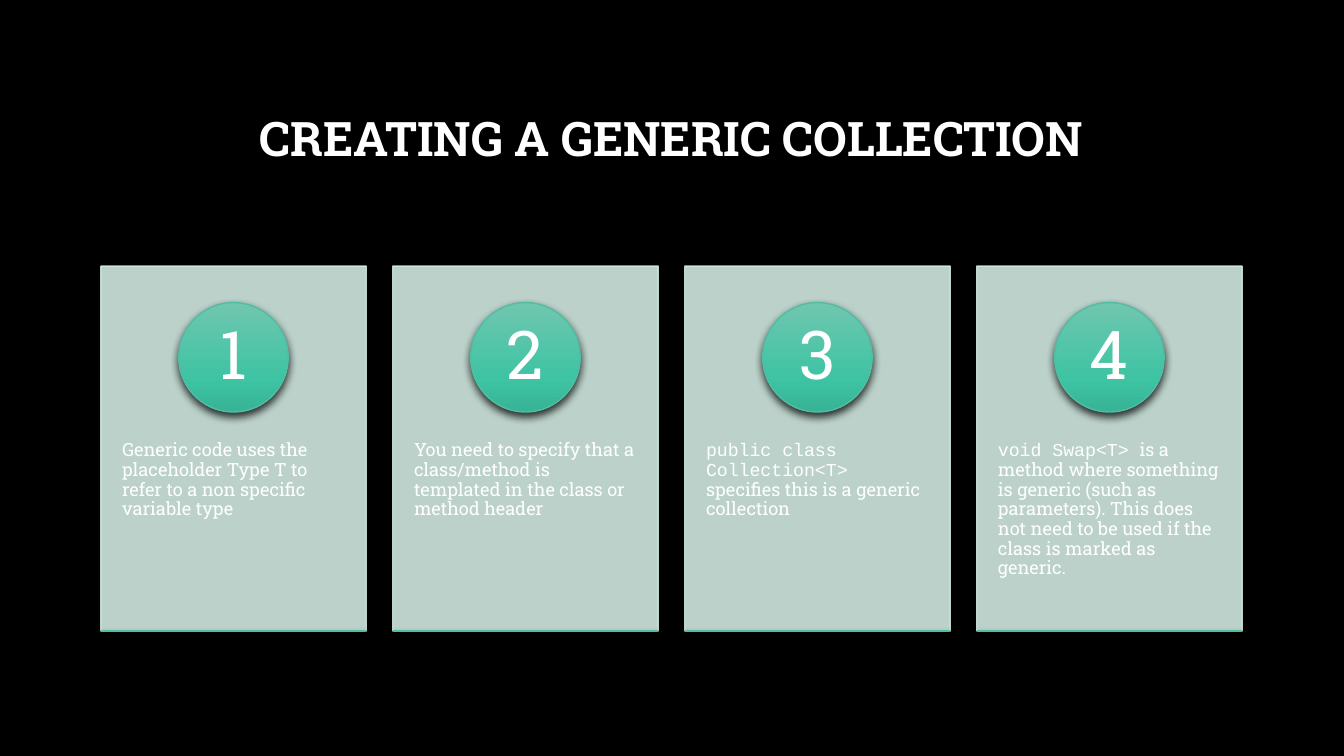
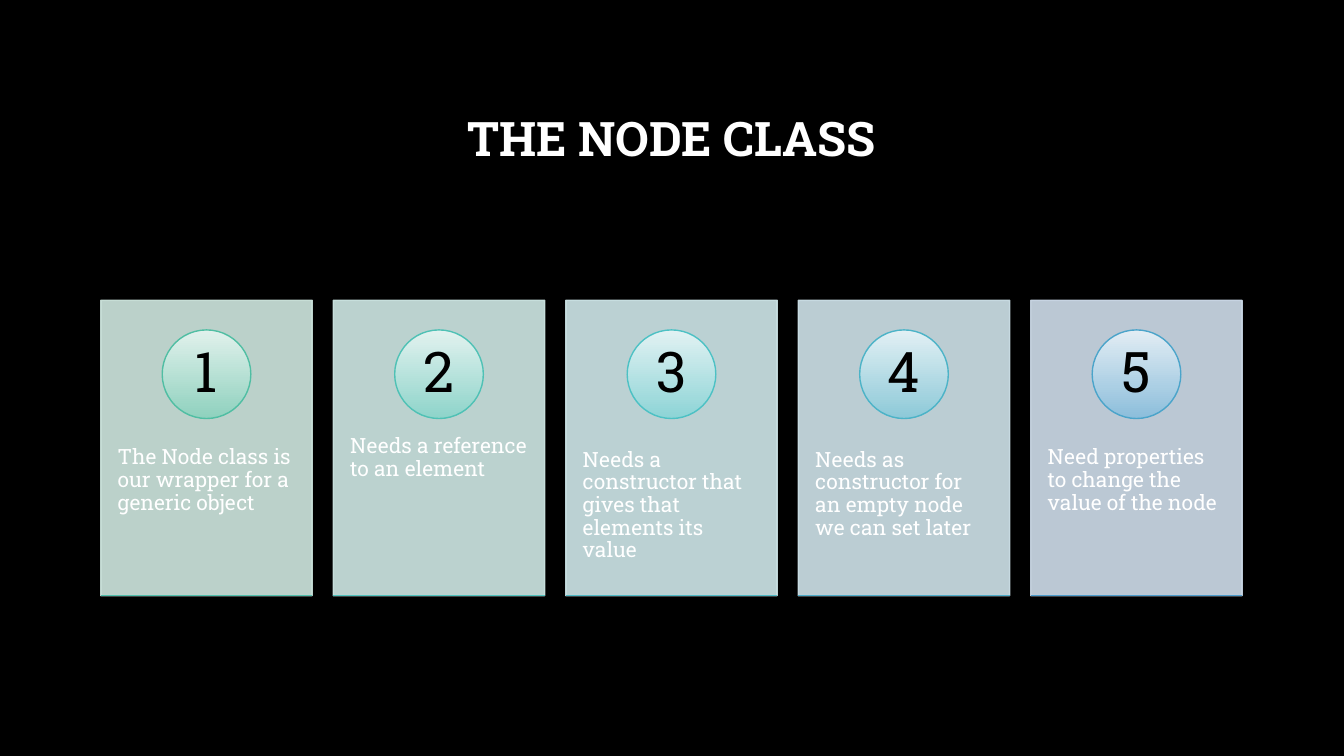
from dataclasses import dataclass

from lxml import etree
from pptx import Presentation
from pptx import util as u
from pptx.dml.color import RGBColor
from pptx.enum import shapes, text
from pptx.oxml.ns import qn


@dataclass(frozen=True)
class Theme:
    back: str = "000000"
    white: str = "FFFFFF"
    black: str = "000000"
    font: str = "Roboto Slab"
    code: str = "Courier New"
    title_size: int = 34
    line_width: int = 1
    line_spacing: float = 0.9
    card_opacity: int = 90
    left: float = 1
    span: float = 11.32


@dataclass(frozen=True)
class Row:
    """Look of one row of numbered cards."""
    top: float
    height: float
    body_size: int
    number_size: int
    number_color: str
    card_shadow: tuple = ()   # opacity %, blur pt, distance pt
    accent_shadow: tuple = ()


@dataclass(frozen=True)
class Tint:
    """Colours of one card."""
    card: str
    stops: tuple              # (position %, colour)
    ring: str
    accent: str


T = Theme()
STEPS = Row(2.64, 3.62, 13, 48, T.white, (54, 4, 3), (76, 6, 3))
NODES = Row(2.98, 2.93, 15, 40, T.black)

GREEN = Tint("D0E8E0", ((0, "70C6AF"), (69, "3EC4A3"), (100, "37B395")),
             "50BEA3", "50BEA3")
COOL = [
    Tint("D0E8E0", ((0, "E1F1EC"), (100, "8FD1BE")), "50BEA3", "4FC0AC"),
    Tint("D0E9E6", ((0, "E2F2EF"), (100, "8ED4CA")), "4FC1B5", "4EC3BE"),
    Tint("D0E8EA", ((0, "E2F2F3"), (100, "8DD4D6")), "4DC1C4", "4DBAC6"),
    Tint("D0E4EB", ((0, "E2F0F4"), (100, "8DC9D8")), "4CB3C7", "4BACC9"),
    Tint("D0DEEC", ((0, "E3EDF4"), (100, "8CBEDB")), "4BA4CA", "4A9CCC"),
]

# Each card text is a list of (wording, font) runs
STEP_TEXTS = [
    [("Generic code uses the placeholder Type T to refer to a non specific "
      "variable type", T.font)],
    [("You need to specify that a class/method is templated in the class or "
      "method header", T.font)],
    [("public class Collection<T> ", T.code),
     ("specifies this is a generic collection", T.font)],
    [("void Swap<T> ", T.code),
     ("is a method where something is generic (such as parameters). This does "
      "not need to be used if the class is marked as generic.", T.font)],
]
NODE_TEXTS = [[(wording, T.font)] for wording in (
    "The Node class is our wrapper for a generic object",
    "Needs a reference to an element",
    "Needs a constructor that gives that elements its value",
    "Needs as constructor for an empty node we can set later",
    "Need properties to change the value of the node",
)]


# Drawing details that need XML
def add_xml(parent, tag, **attrs):
    return etree.SubElement(parent, qn(tag), {k: str(v) for k, v in attrs.items()})


def set_effects(sp, shadow):
    """Give a finished shape or connector its shadow, or none."""
    effects = add_xml(sp.element.spPr, "a:effectLst")
    if shadow:
        opacity, blur, dist = shadow
        outer = add_xml(effects, "a:outerShdw", blurRad=u.Pt(blur), dist=u.Pt(dist),
                        dir=5400000, algn="ctr", rotWithShape=0)
        clr = add_xml(outer, "a:srgbClr", val=T.black)
        add_xml(clr, "a:alpha", val=opacity * 1000)


def set_opacity(sp, percent):
    for clr in sp.element.spPr.iter(qn("a:srgbClr")):
        add_xml(clr, "a:alpha", val=percent * 1000)


def set_gradient(sp, stops):
    sp.fill.gradient()
    sp.fill.gradient_angle = 270
    stop_list = sp.element.spPr.find(".//" + qn("a:gsLst"))
    for old in list(stop_list):
        stop_list.remove(old)
    for pos, color in stops:
        add_xml(add_xml(stop_list, "a:gs", pos=pos * 1000), "a:srgbClr", val=color)


# Elements
def set_line(sp, color):
    sp.line.color.rgb = RGBColor.from_string(color)
    sp.line.width = u.Pt(T.line_width)


def write(sp, runs, size, color, align, anchor, insets=(0.1, 0.05), bold=False):
    tf = sp.text_frame
    tf.word_wrap = True
    tf.vertical_anchor = anchor
    tf.margin_left = tf.margin_right = u.Inches(insets[0])
    tf.margin_top = tf.margin_bottom = u.Inches(insets[1])
    p = tf.paragraphs[0]
    p.alignment = align
    p.line_spacing = T.line_spacing
    for wording, font in runs:
        r = p.add_run()
        r.text = wording
        r.font.name = font
        r.font.size = u.Pt(size)
        r.font.bold = bold
        r.font.color.rgb = RGBColor.from_string(color)


def add_box(s, kind, *place):
    return s.shapes.add_shape(kind, *map(u.Inches, place))


def add_text(s, place, *args, **kwargs):
    write(s.shapes.add_textbox(*map(u.Inches, place)), *args, **kwargs)


def add_card(s, row, tint, number, runs, left, width):
    top, height = row.top, row.height
    bottom = top + height

    # Panel
    panel = add_box(s, shapes.MSO_SHAPE.RECTANGLE, left, top, width, height)
    panel.fill.solid()
    panel.fill.fore_color.rgb = RGBColor.from_string(tint.card)
    set_line(panel, tint.card)
    set_opacity(panel, T.card_opacity)
    set_effects(panel, row.card_shadow)

    # Wording
    add_text(s, (left, top + 0.38 * height, width, 0.6 * height), runs,
             row.body_size, T.white, text.PP_ALIGN.LEFT, text.MSO_ANCHOR.TOP,
             (0.08 * width, 0.36))

    # Numbered disc
    size = 0.3 * height
    disc = add_box(s, shapes.MSO_SHAPE.OVAL, left + (width - size) / 2,
                   top + 0.1 * height, size, size)
    set_gradient(disc, tint.stops)
    set_line(disc, tint.ring)
    set_effects(disc, row.accent_shadow)
    write(disc, [(str(number), T.font)], row.number_size, row.number_color,
          text.PP_ALIGN.CENTER, text.MSO_ANCHOR.MIDDLE, (0.08, 0.01))

    # Accent along the lower edge
    accent = s.shapes.add_connector(
        shapes.MSO_CONNECTOR.STRAIGHT,
        *map(u.Inches, (left, bottom, left + width, bottom)))
    set_line(accent, tint.accent)
    set_effects(accent, row.accent_shadow)


def add_slide(prs, title, row, tints, texts):
    s = prs.slides.add_slide(prs.slide_layouts[6])
    s.background.fill.solid()
    s.background.fill.fore_color.rgb = RGBColor.from_string(T.back)
    add_text(s, (T.left, 0.67, T.span, 1.45), [(title, T.font)], T.title_size,
             T.white, text.PP_ALIGN.CENTER, text.MSO_ANCHOR.MIDDLE, bold=True)

    # Cards fill the span, with gaps of a tenth of a card
    count = len(texts)
    width = T.span / (count + 0.1 * (count - 1))
    for i, (tint, runs) in enumerate(zip(tints, texts)):
        add_card(s, row, tint, i + 1, runs, T.left + 1.1 * width * i, width)


def main():
    prs = Presentation()
    prs.slide_width, prs.slide_height = u.Inches(13.33), u.Inches(7.5)
    add_slide(prs, "CREATING A GENERIC COLLECTION", STEPS,
              [GREEN] * len(STEP_TEXTS), STEP_TEXTS)
    add_slide(prs, "THE NODE CLASS", NODES, COOL, NODE_TEXTS)
    prs.save("out.pptx")


if __name__ == "__main__":
    main()
